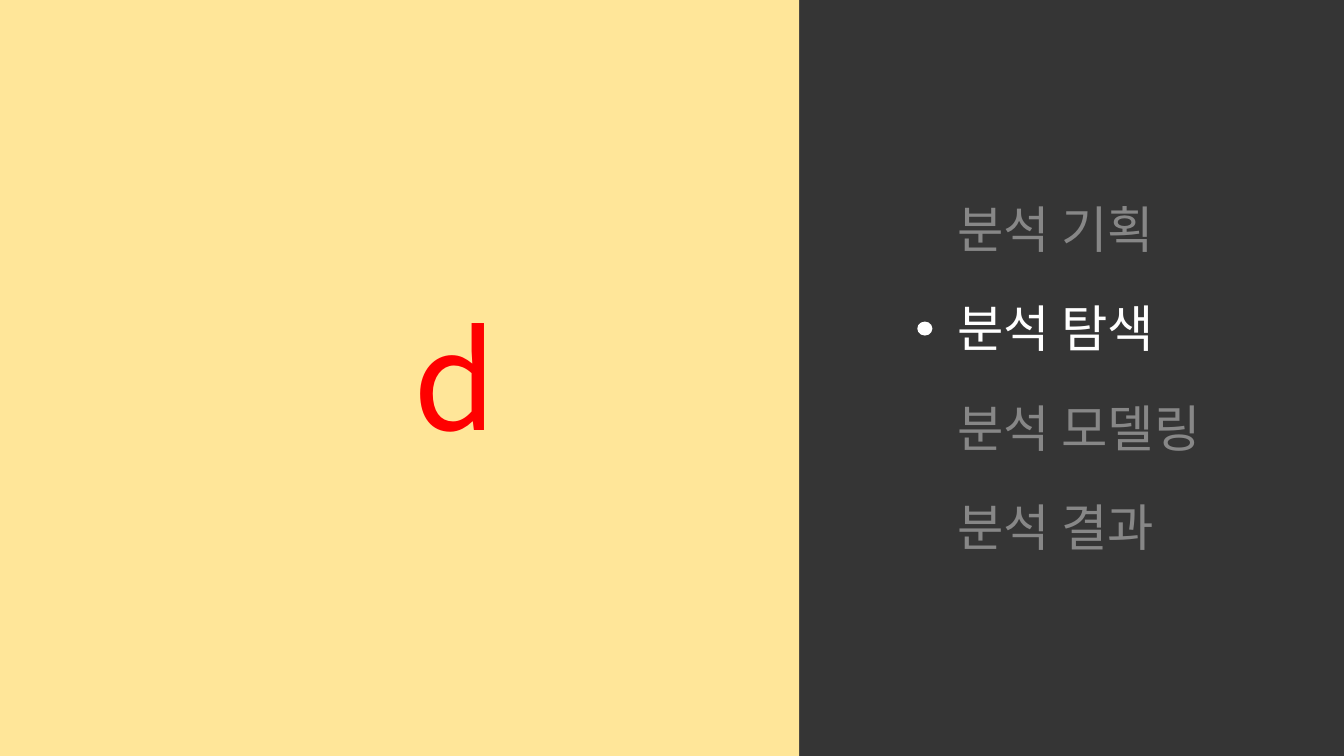
from lxml import etree
from pptx import Presentation
from pptx.dml.color import RGBColor
from pptx.enum.shapes import MSO_SHAPE
from pptx.oxml.ns import qn
from pptx.util import Pt

RECT = MSO_SHAPE.RECTANGLE
OVAL = MSO_SHAPE.OVAL

DARK = RGBColor(0x35, 0x35, 0x35)
YELLOW = RGBColor(0xFF, 0xE6, 0x99)
GREY = RGBColor(0x87, 0x87, 0x87)
WHITE = RGBColor(0xFF, 0xFF, 0xFF)
RED = RGBColor(0xFF, 0x00, 0x00)
FONT = "Noto Sans CJK KR"

SLIDE_W, SLIDE_H = 960, 540
PANEL_LEFT = 571
MENU_LEFT, MENU_TOP, MENU_STEP = 676.8, 138, 70.9
MENU = ["분석 기획", "분석 탐색", "분석 모델링", "분석 결과"]
CURRENT = "분석 탐색"


def add_filled(kind, left, top, width, height, color):
    sp = s.shapes.add_shape(kind, Pt(left), Pt(top), Pt(width), Pt(height))
    sp.shadow.inherit = False
    sp.fill.solid()
    sp.fill.fore_color.rgb = color
    sp.line.fill.background()


def add_label(text, left, top, width, height, size, color):
    sp = s.shapes.add_textbox(Pt(left), Pt(top), Pt(width), Pt(height))
    tf = sp.text_frame
    tf.word_wrap = True
    tf.text = text
    r = tf.paragraphs[0].runs[0]
    r.font.size = Pt(size)
    r.font.name = FONT
    r.font.color.rgb = color
    # Hangul takes its typeface from the East Asian font entry
    etree.SubElement(r.font._element, qn("a:ea")).set("typeface", FONT)


prs = Presentation()
prs.slide_width, prs.slide_height = Pt(SLIDE_W), Pt(SLIDE_H)
s = prs.slides.add_slide(prs.slide_layouts[6])
s.background.fill.solid()
s.background.fill.fore_color.rgb = DARK

add_filled(RECT, 0, 0, PANEL_LEFT, SLIDE_H, YELLOW)
add_filled(RECT, PANEL_LEFT, 0, SLIDE_W - PANEL_LEFT, SLIDE_H, DARK)

for i, item in enumerate(MENU):
    color = WHITE if item == CURRENT else GREY
    add_label(item, MENU_LEFT, MENU_TOP + i * MENU_STEP, 206, 51, 36, color)

marker_top = MENU_TOP + MENU.index(CURRENT) * MENU_STEP + 20.8
add_filled(OVAL, 655.2, marker_top, 10.8, 10, WHITE)

add_label("d", 288, 208, 80, 124, 96, RED)

prs.save("out.pptx")
